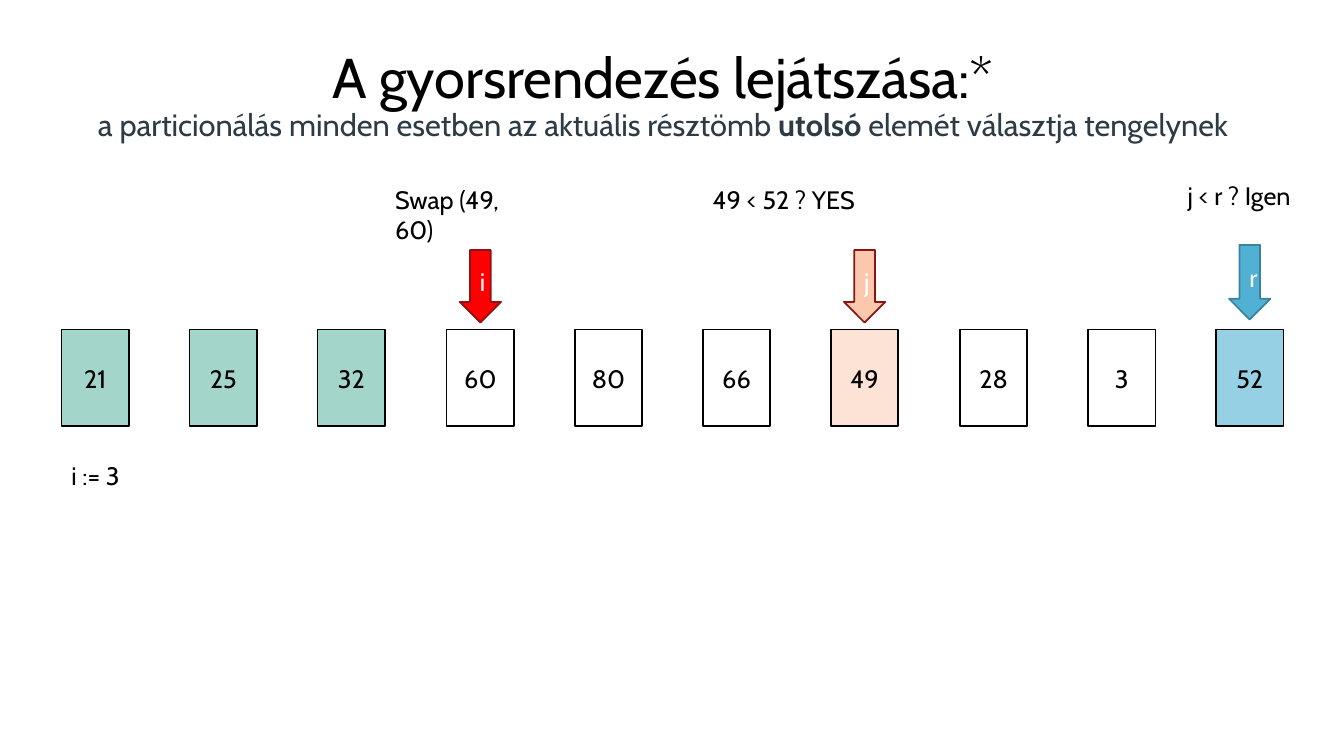
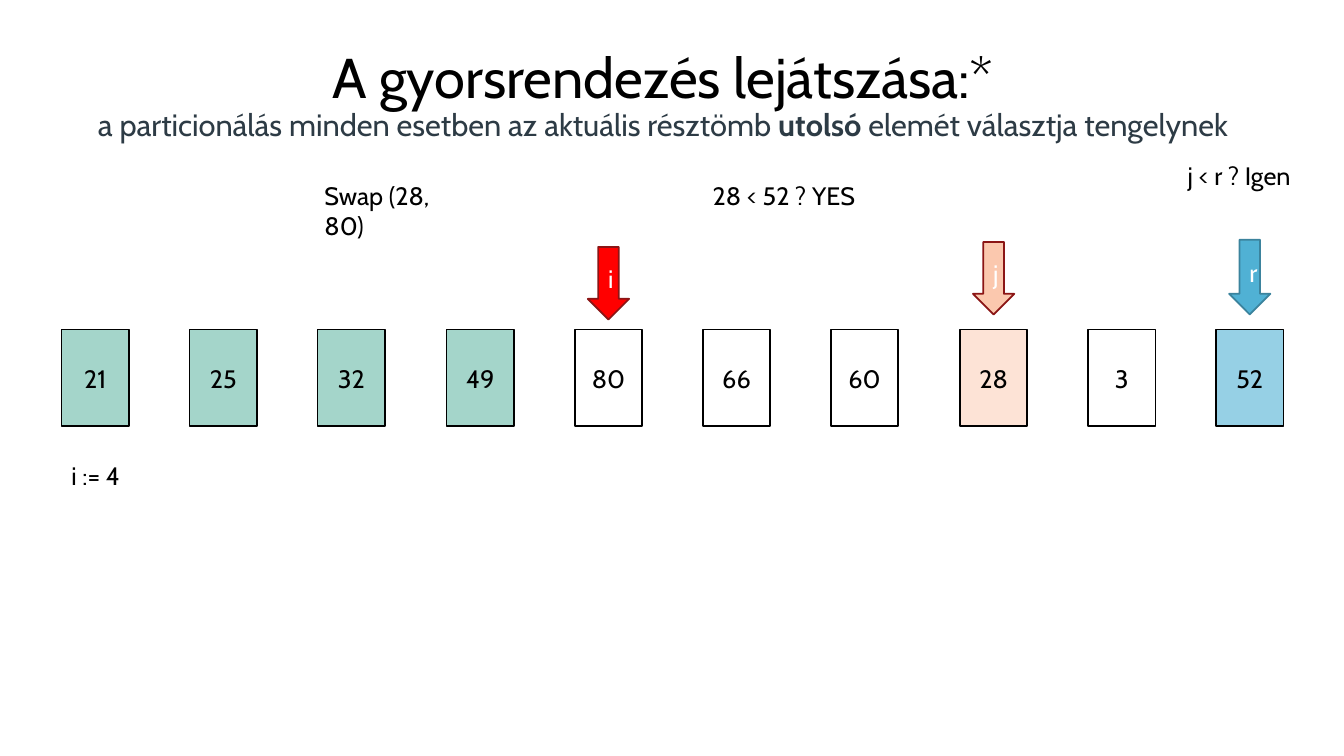
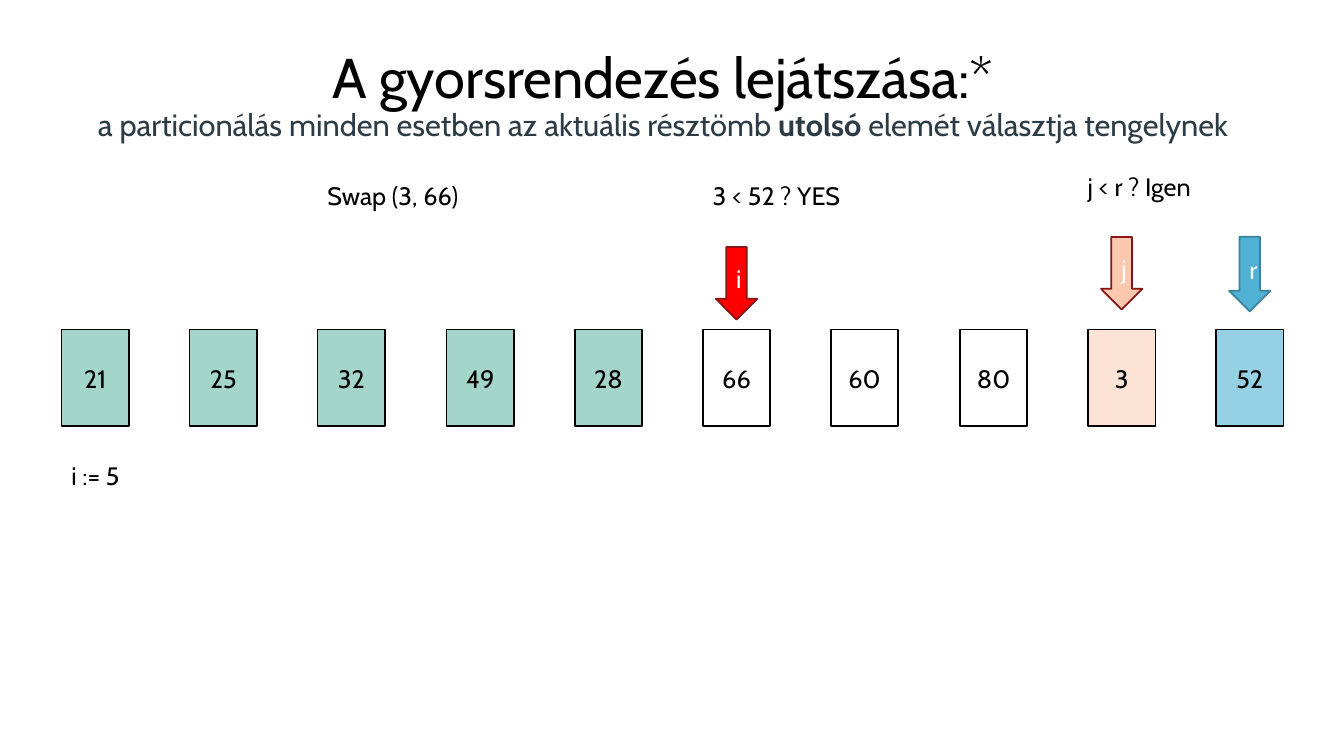
from dataclasses import dataclass

from pptx import Presentation
from pptx.dml.color import RGBColor
from pptx.enum.shapes import MSO_SHAPE as Shape
from pptx.enum.text import MSO_ANCHOR as Anchor, MSO_AUTO_SIZE as AutoSize, PP_ALIGN as Align
from pptx.util import Emu, Pt

PX = 9144
ROW_LEFT, ROW_TOP, ROW_SPAN = 61, 327, 1145
CELL_WIDTH, CELL_HEIGHT = 67, 96
ARROW_WIDTH = 41
NOTE_HEIGHT = 40
START = [21, 25, 32, 60, 80, 66, 49, 28, 3, 52]
TITLE = "A gyorsrendezés lejátszása:*"
SUBTITLE = (
    ("a particionálás minden esetben az aktuális résztömb ", False),
    ("utolsó", True),
    (" elemét választja tengelynek", False),
)


@dataclass(frozen=True)
class Theme:
    """Colours, font and type sizes shared by all slides."""

    font: str = "Cabin"
    title_size: int = 40
    subtitle_size: int = 22
    body_size: int = 18
    line_width: float = 1.25
    ink: str = "000000"
    slate: str = "2D3B45"
    white: str = "FFFFFF"
    sorted_fill: str = "A4D5CA"
    current_fill: str = "FDE3D6"
    pivot_fill: str = "96D0E5"
    i_fill: str = "FF0000"
    j_fill: str = "FBC8AE"
    r_fill: str = "50B1D4"
    red_line: str = "8B1515"
    blue_line: str = "3B839D"


@dataclass(frozen=True)
class Step:
    """One step of the partition: its indices and where its labels stand."""

    i: int
    j: int
    i_top: int
    j_top: int
    r_top: int
    swap_left: int
    note_top: int
    range_left: int
    range_top: int


THEME = Theme()
STEPS = (
    Step(3, 6, 248, 248, 243, 382, 178, 1168, 174),
    Step(4, 7, 245, 240, 238, 312, 174, 1168, 154),
    Step(5, 8, 245, 235, 235, 315, 174, 1069, 165),
)


def px(*lengths):
    """Turn pixel lengths into EMU."""
    return [Emu(length * PX) for length in lengths]


def format_span(span, size, color, bold=False):
    """Give a run its font, size, colour and weight."""
    span.font.name = THEME.font
    span.font.size = Pt(size)
    span.font.bold = bold
    span.font.color.rgb = RGBColor.from_string(color)


def add_figure(page, kind, bounds, text, fill, line, color):
    """Draw a filled preset shape with a centred label."""
    figure = page.shapes.add_shape(kind, *px(*bounds))
    figure.shadow.inherit = False
    figure.fill.solid()
    figure.fill.fore_color.rgb = RGBColor.from_string(fill)
    figure.line.color.rgb = RGBColor.from_string(line)
    figure.line.width = Pt(THEME.line_width)
    frame = figure.text_frame
    frame.text = text
    frame.vertical_anchor = Anchor.MIDDLE
    para = frame.paragraphs[0]
    para.alignment = Align.CENTER
    format_span(para.runs[0], THEME.body_size, color)


def add_note(page, left, top, width, text):
    """Write a line of body text."""
    box = page.shapes.add_textbox(*px(left, top, width, NOTE_HEIGHT))
    frame = box.text_frame
    frame.word_wrap = True
    frame.auto_size = AutoSize.SHAPE_TO_FIT_TEXT
    frame.text = text
    format_span(frame.paragraphs[0].runs[0], THEME.body_size, THEME.ink)


def add_title(page):
    """Write the title and the subtitle below it."""
    frame = page.shapes.add_textbox(*px(63, 18, 1189, 156)).text_frame
    frame.word_wrap = True
    frame.vertical_anchor = Anchor.MIDDLE
    para = frame.paragraphs[0]
    para.text = TITLE
    para.alignment = Align.CENTER
    para.line_spacing = 0.9
    format_span(para.runs[0], THEME.title_size, THEME.ink)
    para.add_line_break()
    for text, bold in SUBTITLE:
        span = para.add_run()
        span.text = text
        format_span(span, THEME.subtitle_size, THEME.slate, bold)


def cell_left(index):
    """Return the left edge of a cell in the evenly spaced row."""
    return ROW_LEFT + round(index * ROW_SPAN / (len(START) - 1))


def cell_fill(index, step, pivot):
    """Choose the colour of a cell from its role in the step."""
    if index < step.i:
        return THEME.sorted_fill
    return {step.j: THEME.current_fill, pivot: THEME.pivot_fill}.get(index, THEME.white)


def add_cells(page, values, step):
    """Draw the array as a row of cells."""
    for index, value in enumerate(values):
        bounds = (cell_left(index), ROW_TOP, CELL_WIDTH, CELL_HEIGHT)
        fill = cell_fill(index, step, len(values) - 1)
        add_figure(page, Shape.RECTANGLE, bounds, str(value), fill, THEME.ink, THEME.ink)


def add_pointer(page, index, top, height, name, fill, line):
    """Draw a named arrow centred over a cell."""
    left = cell_left(index) + (CELL_WIDTH - ARROW_WIDTH) // 2
    bounds = (left, top, ARROW_WIDTH, height)
    add_figure(page, Shape.DOWN_ARROW, bounds, name, fill, line, THEME.white)


def add_step(page, values, step):
    """Draw one step of the partition."""
    current, pivot = values[step.j], values[-1]
    add_title(page)
    add_cells(page, values, step)
    add_pointer(page, len(values) - 1, step.r_top, 74, "r", THEME.r_fill, THEME.blue_line)
    add_pointer(page, step.i, step.i_top, 72, "i", THEME.i_fill, THEME.red_line)
    add_pointer(page, step.j, step.j_top, 72, "j", THEME.j_fill, THEME.red_line)
    add_note(page, ROW_LEFT, 452, 161, f"i := {step.i}")
    add_note(page, step.swap_left, step.note_top, 164, f"Swap ({current}, {values[step.i]})")
    add_note(page, 697, step.note_top, 226, f"{current} < {pivot} ? YES")
    add_note(page, step.range_left, step.range_top, 144, "j < r ? Igen")


def main():
    """Build a slide per step, swapping the two elements in between."""
    deck = Presentation()
    deck.slide_width, deck.slide_height = px(1333, 750)
    values = list(START)
    for step in STEPS:
        add_step(deck.slides.add_slide(deck.slide_layouts[6]), values, step)
        values[step.i], values[step.j] = values[step.j], values[step.i]
    deck.save("out.pptx")


if __name__ == "__main__":
    main()
